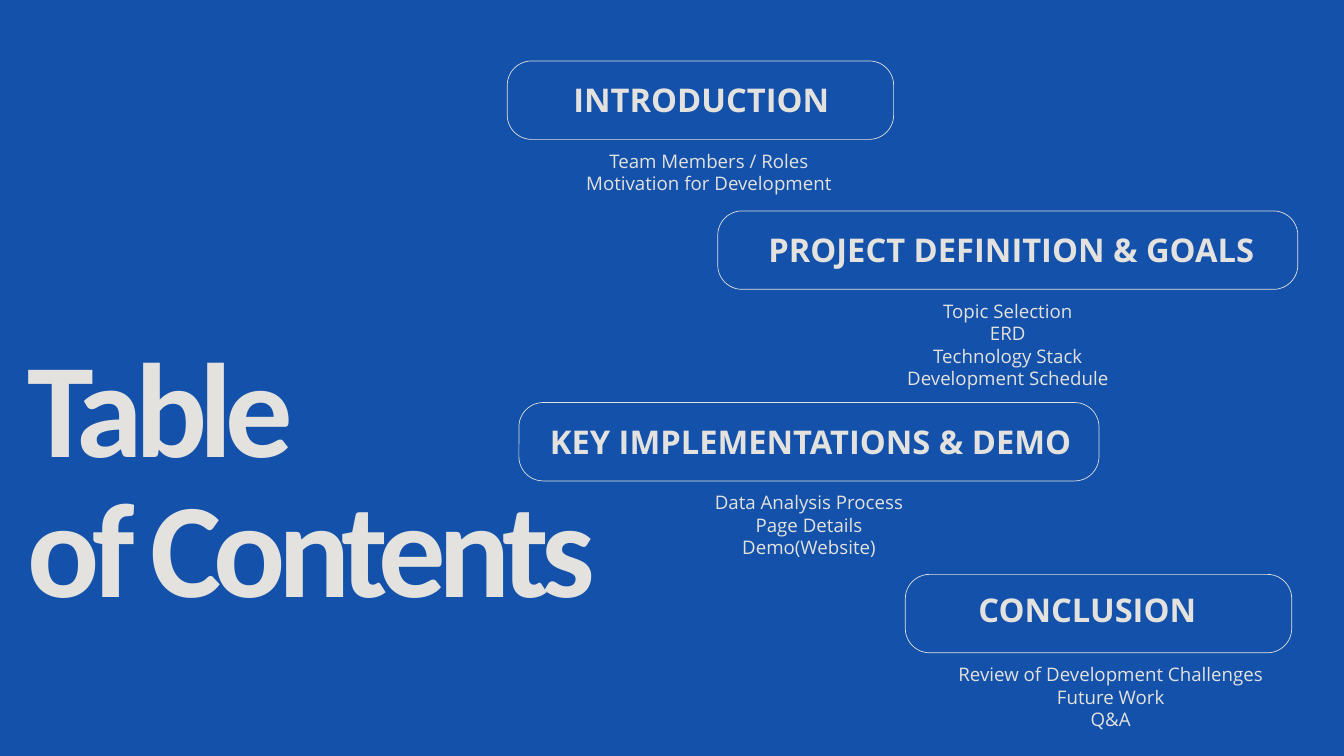
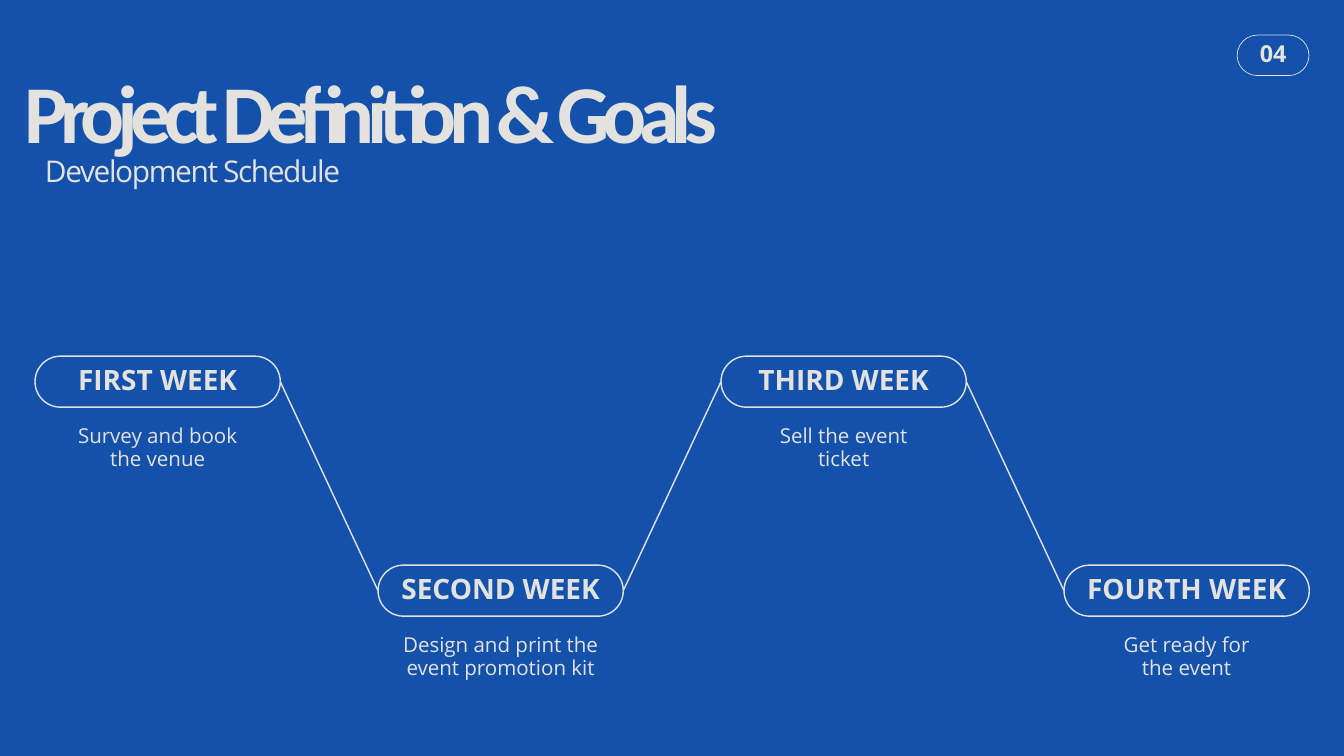
from itertools import pairwise

from lxml import etree
from pptx import Presentation
from pptx.dml.color import RGBColor
from pptx.enum.shapes import MSO_CONNECTOR, MSO_SHAPE
from pptx.enum.text import PP_ALIGN
from pptx.oxml.ns import qn
from pptx.util import Pt

LEFT, CENTER = PP_ALIGN.LEFT, PP_ALIGN.CENTER
ROUNDED = MSO_SHAPE.ROUNDED_RECTANGLE
STRAIGHT = MSO_CONNECTOR.STRAIGHT
LEFT_SIDE, RIGHT_SIDE = 1, 3

BLUE, CREAM = "1351AA", "E3E2DE"
TITLE_STYLE = dict(font="Calibri", bold=True, tracking=-8.2, leading=150)
AGENDA_HEADING = dict(size=35, bold=True, leading=35, align=CENTER)
AGENDA_ITEMS = dict(size=20, align=CENTER)
WEEK_HEADING = dict(size=30, bold=True, leading=33, align=CENTER)
WEEK_TASK = dict(size=22, leading=24.2, align=CENTER)


def add_text(slide, text, left, top, width, height, size, font="Open Sans",
             bold=False, tracking=0, leading=None, align=LEFT):
    """Add a text box without margins; each line of text is a paragraph."""
    frame = slide.shapes.add_textbox(Pt(left), Pt(top), Pt(width), Pt(height)).text_frame
    frame.word_wrap = True
    frame.margin_left = frame.margin_right = frame.margin_top = frame.margin_bottom = 0
    frame.text = text
    for paragraph in frame.paragraphs:
        paragraph.alignment = align
        if leading:
            paragraph.line_spacing = Pt(leading)
        for run in paragraph.runs:
            run.font.name = font
            run.font.size = Pt(size)
            run.font.bold = bold
            run.font.color.rgb = RGBColor.from_string(CREAM)
            if tracking:
                run.font._element.set("spc", str(round(tracking * 100)))


def add_pill(slide, left, top, width, height, line_width, roundness=0.5):
    pill = slide.shapes.add_shape(ROUNDED, Pt(left), Pt(top), Pt(width), Pt(height))
    pill.adjustments[0] = roundness
    pill.shadow.inherit = False
    pill.fill.background()
    pill.line.color.rgb = RGBColor.from_string(CREAM)
    pill.line.width = Pt(line_width)
    return pill


deck = Presentation()
deck.slide_width, deck.slide_height = Pt(1440), Pt(810)
contents, schedule = [deck.slides.add_slide(deck.slide_layouts[6]) for _ in range(2)]
for slide in (contents, schedule):
    slide.background.fill.solid()
    slide.background.fill.fore_color.rgb = RGBColor.from_string(BLUE)

# Table of contents
add_text(contents, "Table\nof Contents", 30, 368.6, 660, 454, size=144, **TITLE_STYLE)

# heading, pill left, top and width, heading shift and drop, items shift, items
agenda = [
    ("INTRODUCTION", 543.5, 65.3, 414, 1, 27.5, 9,
     "Team Members / Roles\nMotivation for Development"),
    ("PROJECT DEFINITION & GOALS", 769, 226, 621.5, 4, 27, 0,
     "Topic Selection\nERD\nTechnology Stack\nDevelopment Schedule"),
    ("KEY IMPLEMENTATIONS & DEMO", 556, 431.3, 621.5, 2, 27.5, 0,
     "Data Analysis Process\nPage Details\nDemo(Website)"),
    ("CONCLUSION", 970, 615.4, 414, -12, 24, 13,
     "Review of Development Challenges\nFuture Work\nQ&A"),
]
for heading, left, top, width, heading_shift, heading_drop, items_shift, items in agenda:
    add_pill(contents, left, top, width, 84, 0.75, roundness=0.31)
    add_text(contents, heading, left + heading_shift, top + heading_drop, width, 37,
             **AGENDA_HEADING)
    add_text(contents, items, left + items_shift, top + 95, width,
             24.2 * len(items.splitlines()), **AGENDA_ITEMS)

# Development schedule
add_text(schedule, "Project Definition & Goals", 26, 21.6, 1125, 134, size=88, **TITLE_STYLE)
add_text(schedule, "Development Schedule", 48.2, 163.4, 462, 39, size=32, tracking=-1.5)
add_pill(schedule, 1325.5, 37.6, 77, 43.4, 0.75)
add_text(schedule, "04", 1325.5, 49.7, 77, 24, size=25, bold=True, leading=22.5, align=CENTER)

WEEK_LEFT, WEEK_STEP, WEEK_WIDTH, WEEK_HEIGHT = 37.5, 367.5, 262.8, 54.7
HIGH, LOW = 381.6, 605.5
weeks = [
    ("FIRST WEEK", "Survey and book the venue", HIGH, 185),
    ("SECOND WEEK", "Design and print the event promotion kit", LOW, 252),
    ("THIRD WEEK", "Sell the event ticket", HIGH, 181),
    ("FOURTH WEEK", "Get ready for the event", LOW, 166),
]
week_pills = []
for index, (week, task, top, task_width) in enumerate(weeks):
    left = WEEK_LEFT + index * WEEK_STEP
    week_pills.append(add_pill(schedule, left, top, WEEK_WIDTH, WEEK_HEIGHT, 1.5))
    add_text(schedule, week, left, top + 10, WEEK_WIDTH, 35, **WEEK_HEADING)
    add_text(schedule, task, left + (WEEK_WIDTH - task_width) / 2, top + 74.2,
             task_width, 50, **WEEK_TASK)

for earlier, later in pairwise(week_pills):
    link = schedule.shapes.add_connector(STRAIGHT, 0, 0, 0, 0)
    link.begin_connect(earlier, RIGHT_SIDE)
    link.end_connect(later, LEFT_SIDE)
    link.line.color.rgb = RGBColor.from_string(CREAM)
    link.line.width = Pt(1.5)
    etree.SubElement(link._element.spPr, qn("a:effectLst"))

deck.save("out.pptx")
